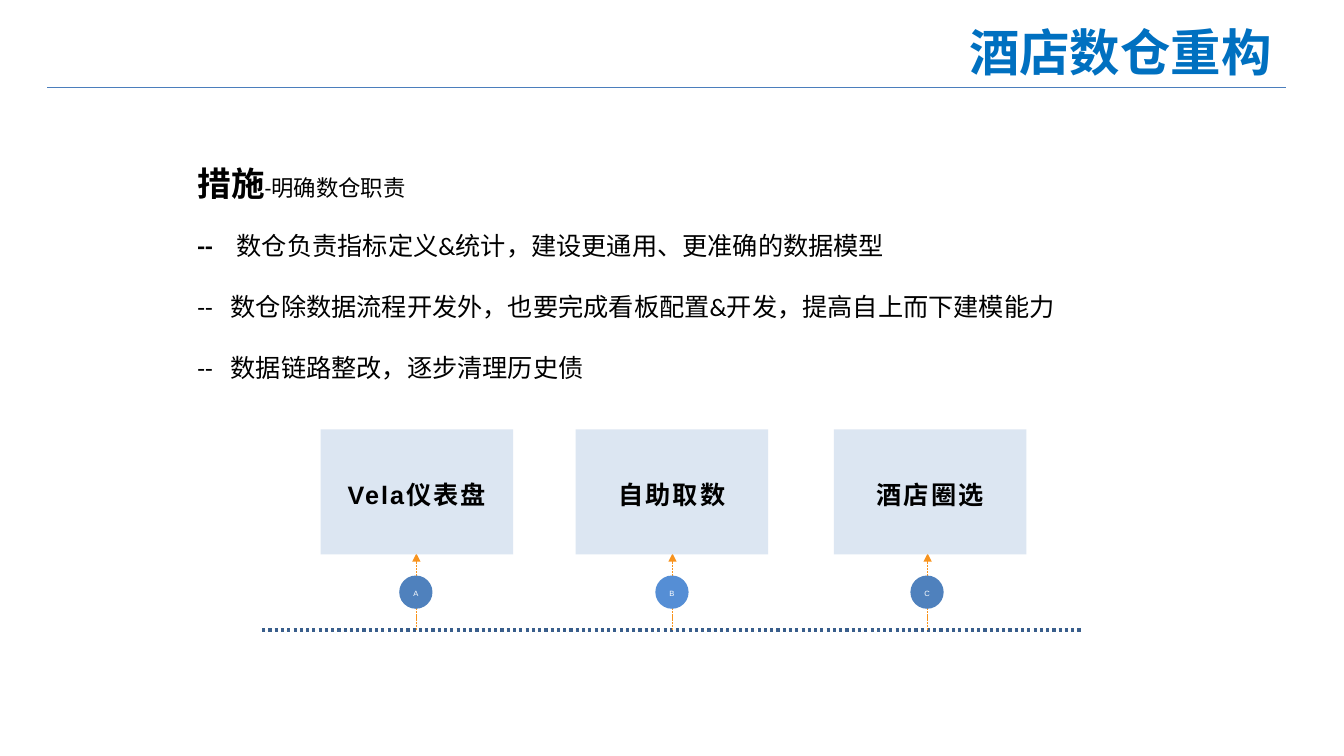
"""Build the slide on restructuring the hotel data warehouse."""
from dataclasses import dataclass

from lxml.etree import SubElement
from pptx import Presentation
from pptx.dml.color import RGBColor
from pptx.enum.dml import MSO_LINE
from pptx.enum.shapes import MSO_CONNECTOR, MSO_SHAPE as SHAPE
from pptx.enum.text import MSO_ANCHOR as ANCHOR, PP_ALIGN as ALIGN
from pptx.oxml.ns import qn
from pptx.util import Pt

PX = 9144


@dataclass(frozen=True)
class Theme:
    title: str = "0070C0"
    text: str = "000000"
    white: str = "FFFFFF"
    rule: str = "4B7EBC"
    axis: str = "3A5F8C"
    arrow: str = "F8931D"
    box: str = "DCE6F2"
    badge: str = "4F81BD"
    badge_mid: str = "558ED5"
    title_size: float = 36
    heading_size: float = 24
    body_size: float = 18
    note_size: float = 16
    badge_size: float = 5.4
    latin: str = "Calibri"
    label: str = "Arial"
    cjk: str = "Noto Sans CJK SC"


T = Theme()


def add_line(x1, y1, x2, y2, color, width, dash=None, arrow=False):
    s = slide.shapes.add_connector(
        MSO_CONNECTOR.STRAIGHT, x1 * PX, y1 * PX, x2 * PX, y2 * PX)
    s.line.color.rgb = RGBColor.from_string(color)
    s.line.width = Pt(width)
    if dash:
        s.line.dash_style = dash
    if arrow:
        SubElement(s.line._get_or_add_ln(), qn("a:tailEnd"), type="triangle")
    SubElement(s._element.spPr, qn("a:effectLst"))


def add_run(p, text, size, color, font, bold=False):
    r = p.add_run()
    r.text = text
    r.font.size = Pt(size)
    r.font.bold = bold
    r.font.name = font
    r.font.color.rgb = RGBColor.from_string(color)
    SubElement(r._r.get_or_add_rPr(), qn("a:ea"), typeface=T.cjk)
    return r


prs = Presentation()
prs.slide_width, prs.slide_height = 1333 * PX, 750 * PX
slide = prs.slides.add_slide(prs.slide_layouts[6])

add_line(47, 87, 1275, 87, T.rule, 0.75)

s = slide.shapes.add_textbox(760 * PX, 16 * PX, 511 * PX, 71 * PX)
s.text_frame.word_wrap = True
p = s.text_frame.paragraphs[0]
p.alignment = ALIGN.RIGHT
add_run(p, "酒店数仓重构", T.title_size, T.title, T.cjk, True)

s = slide.shapes.add_textbox(186 * PX, 157 * PX, 981 * PX, 350 * PX)
tf = s.text_frame
tf.word_wrap = True
p = tf.paragraphs[0]
add_run(p, "措施", T.heading_size, T.text, T.latin, True)
add_run(p, "-明确数仓职责", T.note_size, T.text, T.latin)

measures = [
    ("数仓负责指标定义&统计，建设更通用、更准确的数据模型", 39, 19, True),
    ("数仓除数据流程开发外，也要完成看板配置&开发，提高自上而下建模能力", 33, 22, False),
    ("数据链路整改，逐步清理历史债", 33, 22, False),
]
for text, indent, gap, bold in measures:
    p = tf.add_paragraph()
    p.space_before = Pt(gap)
    pPr = p._p.get_or_add_pPr()
    pPr.set("marL", str(indent * PX))
    pPr.set("indent", str(-indent * PX))
    add_run(p, "--\t", T.body_size, T.text, T.latin, bold)
    add_run(p, text, T.body_size, T.text, T.latin)

add_line(260, 625, 1073, 625, T.axis, 2.25, MSO_LINE.ROUND_DOT)

products = [
    ("A", "Vela仪表盘", 413, 318, T.badge),
    ("B", "自助取数", 667, 571, T.badge_mid),
    ("C", "酒店圈选", 920, 827, T.badge),
]
for letter, name, center, left, badge in products:
    add_line(center, 625, center, 549, T.arrow, 0.5, MSO_LINE.SQUARE_DOT, True)
    parts = [
        (SHAPE.RECTANGLE, left, 426, 191, 124, T.box,
         name, T.body_size, T.text, True),
        (SHAPE.OVAL, center - 17, 571, 33, 33, badge,
         letter, T.badge_size, T.white, False),
    ]
    for kind, x, y, w, h, fill, text, size, color, bold in parts:
        s = slide.shapes.add_shape(kind, x * PX, y * PX, w * PX, h * PX)
        s.shadow.inherit = False
        s.fill.solid()
        s.fill.fore_color.rgb = RGBColor.from_string(fill)
        s.line.fill.background()
        tf = s.text_frame
        tf.word_wrap = True
        tf.vertical_anchor = ANCHOR.MIDDLE
        tf.margin_left = tf.margin_right = tf.margin_top = tf.margin_bottom = 0
        p = tf.paragraphs[0]
        p.alignment = ALIGN.CENTER
        p.line_spacing = 1.2
        r = add_run(p, text, size, color, T.label, bold)
        if bold:
            r._r.get_or_add_rPr().set("spc", "150")

prs.save("out.pptx")
